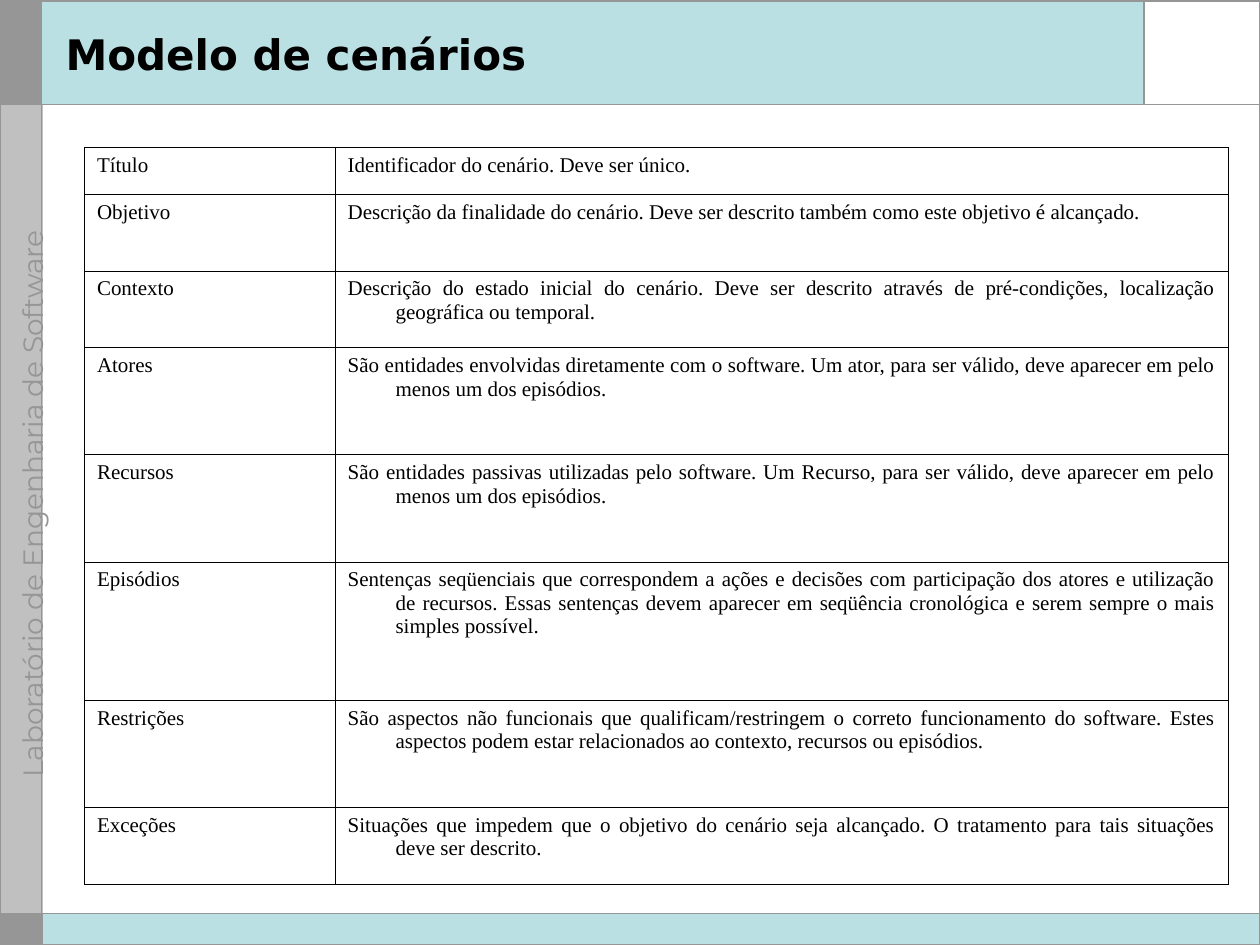
"""Build the slide that describes the parts of a scenario model."""
from dataclasses import dataclass
from typing import Optional

from lxml.etree import SubElement
from pptx import Presentation
from pptx.dml.color import RGBColor as Rgb
from pptx.enum.shapes import MSO_CONNECTOR as Conn, MSO_SHAPE as Form
from pptx.enum.text import MSO_ANCHOR as Anchor, MSO_AUTO_SIZE as Fit, PP_ALIGN as Align
from pptx.oxml.ns import qn
from pptx.util import Inches, Pt


@dataclass(frozen=True)
class Theme:
    ink: str = "000000"
    white: str = "FFFFFF"
    aqua: str = "BBE0E3"
    gray: str = "969696"
    pale: str = "C0C0C0"
    head: str = "DejaVu Sans"
    side: str = "Montserrat"
    body: str = "Times New Roman"
    head_size: float = 24
    side_size: float = 16
    body_size: float = 12
    rule: float = 1
    edge: float = 0.75
    grid: float = 0.45


@dataclass(frozen=True)
class Panel:
    left: float
    top: float
    width: float
    height: float
    fill: Optional[str] = None
    line: Optional[str] = None
    weight: float = 0.75


@dataclass(frozen=True)
class Rule:
    x1: float
    y1: float
    x2: float
    y2: float


@dataclass(frozen=True)
class Entry:
    name: str
    text: str
    height: float


THEME = Theme()
WIDE, HIGH = 10, 7.5
BAR, TOP, FOOT, LOGO = 0.33, 0.83, 7.25, 9.08
COLS = (1.99, 7.09)
HANG = 0.38

PANELS = (
    Panel(0.01, 0.01, BAR, TOP, THEME.gray, THEME.gray, THEME.edge),
    Panel(BAR, 0, WIDE - BAR, TOP, THEME.aqua),
    Panel(0.01, TOP, BAR, FOOT - TOP, THEME.pale, THEME.pale, THEME.edge),
    Panel(LOGO, 0, WIDE - LOGO, TOP, THEME.white),
    Panel(BAR, FOOT, WIDE - BAR, HIGH - FOOT, THEME.aqua),
    Panel(0.01, FOOT, BAR, 0.24, THEME.gray, THEME.gray, THEME.edge),
    Panel(0, 0.01, WIDE, 7.49, None, THEME.gray, THEME.rule),
)
RULES = (
    Rule(LOGO, 0, LOGO, TOP),
    Rule(0, TOP, WIDE, TOP),
    Rule(BAR, 0, BAR, HIGH),
    Rule(0, FOOT, WIDE, FOOT),
)
ENTRIES = (
    Entry("Título", "Identificador do cenário. Deve ser único.", 0.37),
    Entry("Objetivo", "Descrição da finalidade do cenário. Deve ser descrito também "
          "como este objetivo é alcançado.", 0.61),
    Entry("Contexto", "Descrição do estado inicial do cenário. Deve ser descrito através "
          "de pré-condições, localização geográfica ou temporal.", 0.61),
    Entry("Atores", "São entidades envolvidas diretamente com o software. Um ator, para "
          "ser válido, deve aparecer em pelo menos um dos episódios.", 0.85),
    Entry("Recursos", "São entidades passivas utilizadas pelo software. Um Recurso, para "
          "ser válido, deve aparecer em pelo menos um dos episódios.", 0.85),
    Entry("Episódios", "Sentenças seqüenciais que correspondem a ações e decisões com "
          "participação dos atores e utilização de recursos. Essas sentenças devem "
          "aparecer em seqüência cronológica e serem sempre o mais simples possível.", 1.1),
    Entry("Restrições", "São aspectos não funcionais que qualificam/restringem o correto "
          "funcionamento do software. Estes aspectos podem estar relacionados ao "
          "contexto, recursos ou episódios.", 0.85),
    Entry("Exceções", "Situações que impedem que o objetivo do cenário seja alcançado. "
          "O tratamento para tais situações deve ser descrito.", 0.61),
)


def write(frame, text: str, *, font: str, size: float, color: str = THEME.ink,
          bold: bool = False, align: Align = Align.LEFT, hang: float = 0) -> None:
    """Fill a text frame with one formatted paragraph."""
    para = frame.paragraphs[0]
    para.alignment = align
    if hang:
        props = para._p.get_or_add_pPr()
        props.set("marL", str(Inches(hang)))
        props.set("indent", str(-Inches(hang)))
    run = para.add_run()
    run.text = text
    run.font.name, run.font.size, run.font.bold = font, Pt(size), bold
    run.font.color.rgb = Rgb.from_string(color)


def draw_panel(slide, panel: Panel) -> None:
    """Draw one rectangle of the slide frame."""
    box = slide.shapes.add_shape(Form.RECTANGLE, Inches(panel.left), Inches(panel.top),
                                 Inches(panel.width), Inches(panel.height))
    box.shadow.inherit = False
    if panel.fill:
        box.fill.solid()
        box.fill.fore_color.rgb = Rgb.from_string(panel.fill)
    else:
        box.fill.background()
    if panel.line:
        box.line.color.rgb = Rgb.from_string(panel.line)
        box.line.width = Pt(panel.weight)
    else:
        box.line.fill.background()


def draw_rule(slide, rule: Rule) -> None:
    """Draw one straight dividing line."""
    line = slide.shapes.add_connector(Conn.STRAIGHT, Inches(rule.x1), Inches(rule.y1),
                                      Inches(rule.x2), Inches(rule.y2))
    line.line.color.rgb = Rgb.from_string(THEME.gray)
    line.line.width = Pt(THEME.rule)
    SubElement(line.element.spPr, qn("a:effectLst"))


def draw_side(slide) -> None:
    """Write the laboratory name up the side bar."""
    box = slide.shapes.add_textbox(Inches(-2.24), Inches(3.91), Inches(4.8), Inches(0.18))
    box.rotation = 270
    box.text_frame.word_wrap = False
    write(box.text_frame, "Laboratório de Engenharia de Software", font=THEME.side,
          size=THEME.side_size, color=THEME.gray, align=Align.CENTER)


def draw_title(slide) -> None:
    """Place the title above the header band."""
    title = slide.shapes.title
    title.left, title.top = Inches(0.42), Inches(0.12)
    title.width, title.height = Inches(8.58), Inches(0.62)
    frame = title.text_frame
    frame.word_wrap, frame.auto_size = True, Fit.NONE
    frame.vertical_anchor = Anchor.MIDDLE
    write(frame, "Modelo de cenários", font=THEME.head, size=THEME.head_size, bold=True)
    title.element.getparent().append(title.element)


def style_cell(cell, text: str) -> None:
    """Write a cell and give it thin borders on all sides."""
    write(cell.text_frame, text, font=THEME.body, size=THEME.body_size,
          align=Align.JUSTIFY, hang=HANG)
    props = cell._tc.get_or_add_tcPr()
    for side in ("lnL", "lnR", "lnT", "lnB"):
        line = SubElement(props, qn(f"a:{side}"), w=str(Pt(THEME.grid)))
        fill = SubElement(line, qn("a:solidFill"))
        SubElement(fill, qn("a:srgbClr"), val=THEME.ink)
    cell.fill.background()


def draw_table(slide, rows: tuple[Entry, ...]) -> None:
    """Draw the table of scenario parts."""
    high = sum(row.height for row in rows)
    table = slide.shapes.add_table(len(rows), len(COLS), Inches(0.67), Inches(1.17),
                                   Inches(sum(COLS)), Inches(high)).table
    table.first_row = table.horz_banding = False
    for col, width in zip(table.columns, COLS):
        col.width = Inches(width)
    for i, row in enumerate(rows):
        table.rows[i].height = Inches(row.height)
        for j, text in enumerate((row.name, row.text)):
            style_cell(table.cell(i, j), text)


def main() -> None:
    """Build and save the presentation."""
    deck = Presentation()
    deck.slide_width, deck.slide_height = Inches(WIDE), Inches(HIGH)
    slide = deck.slides.add_slide(deck.slide_layouts[5])
    for panel in PANELS:
        draw_panel(slide, panel)
    draw_side(slide)
    for rule in RULES:
        draw_rule(slide, rule)
    draw_title(slide)
    draw_table(slide, ENTRIES)
    deck.save("out.pptx")


if __name__ == "__main__":
    main()
